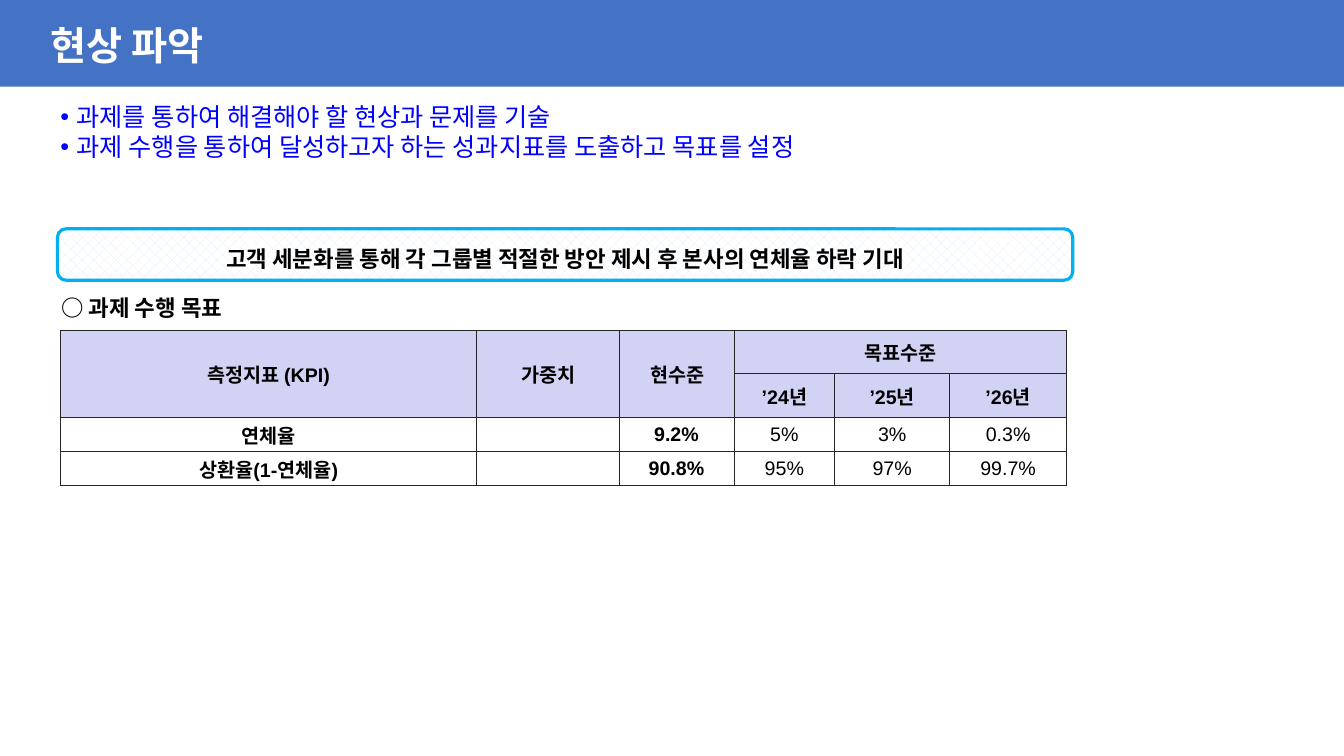
"""Build the current-state slide with its KPI target table."""
from lxml.etree import SubElement
from pptx import Presentation
from pptx.dml.color import RGBColor
from pptx.enum.dml import MSO_PATTERN
from pptx.enum.shapes import MSO_SHAPE
from pptx.enum.text import MSO_ANCHOR, MSO_AUTO_SIZE, PP_ALIGN
from pptx.oxml.ns import qn
from pptx.util import Inches, Pt

COLORS = {
    "band": "4472C4", "white": "FFFFFF", "black": "000000", "bullet": "0000FF",
    "hatch": "DEEBF7", "outline": "00B0F0", "header": "D2D2F4", "border": "262626",
}
KOREAN = "Noto Sans CJK KR"


def rgb(name):
    return RGBColor.from_string(COLORS[name])


def style(p, size, color="black", bold=True, font=KOREAN):
    for r in p.runs:
        r.font.size = Pt(size)
        r.font.bold = bold
        r.font.color.rgb = rgb(color)
        r.font.name = font
        SubElement(r.font._element, qn("a:ea"), typeface=KOREAN)


prs = Presentation()
prs.slide_width, prs.slide_height = Inches(13.33), Inches(7.5)
s = prs.slides.add_slide(prs.slide_layouts[1])
title, body = s.placeholders[0], s.placeholders[1]

band = s.shapes.add_shape(MSO_SHAPE.RECTANGLE, 0, 0, prs.slide_width, Inches(0.86))
band.shadow.inherit = False
band.fill.solid()
band.fill.fore_color.rgb = rgb("band")
band.line.fill.background()
s.shapes.element.insert(2, band.element)

title.left, title.top = Inches(0.4), Inches(0.16)
title.width, title.height = Inches(6.35), Inches(0.57)
tf = title.text_frame
tf.text = "현상 파악"
tf.auto_size = MSO_AUTO_SIZE.NONE
tf.vertical_anchor = MSO_ANCHOR.MIDDLE
tf.paragraphs[0].alignment = PP_ALIGN.LEFT
style(tf.paragraphs[0], 28, "white")

body.left, body.top = Inches(0.5), Inches(0.96)
body.width, body.height = Inches(9.84), Inches(0.71)
tf = body.text_frame
tf.text = (
    "과제를 통하여 해결해야 할 현상과 문제를 기술\n"
    "과제 수행을 통하여 달성하고자 하는 성과지표를 도출하고 목표를 설정"
)
tf.auto_size = MSO_AUTO_SIZE.NONE
tf.vertical_anchor = MSO_ANCHOR.TOP
for p in tf.paragraphs:
    p.space_before = Pt(0)
    p.line_spacing = Pt(21.5)
    pPr = p._p.get_or_add_pPr()
    pPr.set("marL", str(Inches(0.16)))
    pPr.set("indent", str(-Inches(0.16)))
    SubElement(pPr, qn("a:buChar"), char="•")
    style(p, 18, "bullet", False)

callout = s.shapes.add_shape(
    MSO_SHAPE.ROUNDED_RECTANGLE, Inches(0.57), Inches(2.27), Inches(10.07), Inches(0.51))
callout.shadow.inherit = False
callout.fill.patterned()
callout.fill.pattern = MSO_PATTERN.PERCENT_25
callout.fill.fore_color.rgb = rgb("hatch")
callout.fill.back_color.rgb = rgb("white")
callout.line.color.rgb = rgb("outline")
callout.line.width = Pt(2.25)
tf = callout.text_frame
tf.text = "고객 세분화를 통해 각 그룹별 적절한 방안 제시 후 본사의 연체율 하락 기대"
tf.vertical_anchor = MSO_ANCHOR.MIDDLE
p = tf.paragraphs[0]
p.alignment = PP_ALIGN.CENTER
p.line_spacing = 1.3
style(p, 16)

label = s.shapes.add_textbox(Inches(0.61), Inches(2.92), Inches(10.2), Inches(0.78))
tf = label.text_frame
tf.word_wrap = True
tf.margin_left = tf.margin_right = tf.margin_top = tf.margin_bottom = 0
tf.text = "○ 과제 수행 목표"
style(tf.paragraphs[0], 16)

rows = [
    ["측정지표 (KPI)", "가중치", "현수준", "목표수준", "", ""],
    ["", "", "", "’24년", "’25년", "’26년"],
    ["연체율", "", "9.2%", "5%", "3%", "0.3%"],
    ["상환율(1-연체율)", "", "90.8%", "95%", "97%", "99.7%"],
]
widths = [4.13, 1.41, 1.14, 1, 1.14, 1.16]
heights = [0.43, 0.43, 0.34, 0.34]
table = s.shapes.add_table(
    len(rows), len(widths), Inches(0.6), Inches(3.28), Inches(10), Inches(1.54)).table
table.first_row = table.horz_banding = False
for col, width in zip(table.columns, widths):
    col.width = Inches(width)
for row, height in zip(table.rows, heights):
    row.height = Inches(height)

for i, texts in enumerate(rows):
    for j, text in enumerate(texts):
        cell = table.cell(i, j)
        margin = Inches(0.02 if i < 2 else 0)
        cell.margin_left = cell.margin_right = cell.margin_top = cell.margin_bottom = margin
        if i == 0 and j in (1, 2):
            cell.margin_left = Inches(0.04)
        cell.vertical_anchor = MSO_ANCHOR.MIDDLE
        tcPr = cell._tc.get_or_add_tcPr()
        for side in ("a:lnL", "a:lnR", "a:lnT", "a:lnB"):
            ln = SubElement(tcPr, qn(side), w=str(Pt(0.75)))
            SubElement(SubElement(ln, qn("a:solidFill")), qn("a:srgbClr"), val=COLORS["border"])
        cell.fill.solid()
        cell.fill.fore_color.rgb = rgb("header" if i < 2 else "white")
        if text:
            cell.text = text
            p = cell.text_frame.paragraphs[0]
            p.alignment = PP_ALIGN.CENTER
            style(p, 14, bold=i < 2 or j < 3, font="Arial")

for j in range(3):
    table.cell(0, j).merge(table.cell(1, j))
table.cell(0, 3).merge(table.cell(0, 5))

prs.save("out.pptx")
